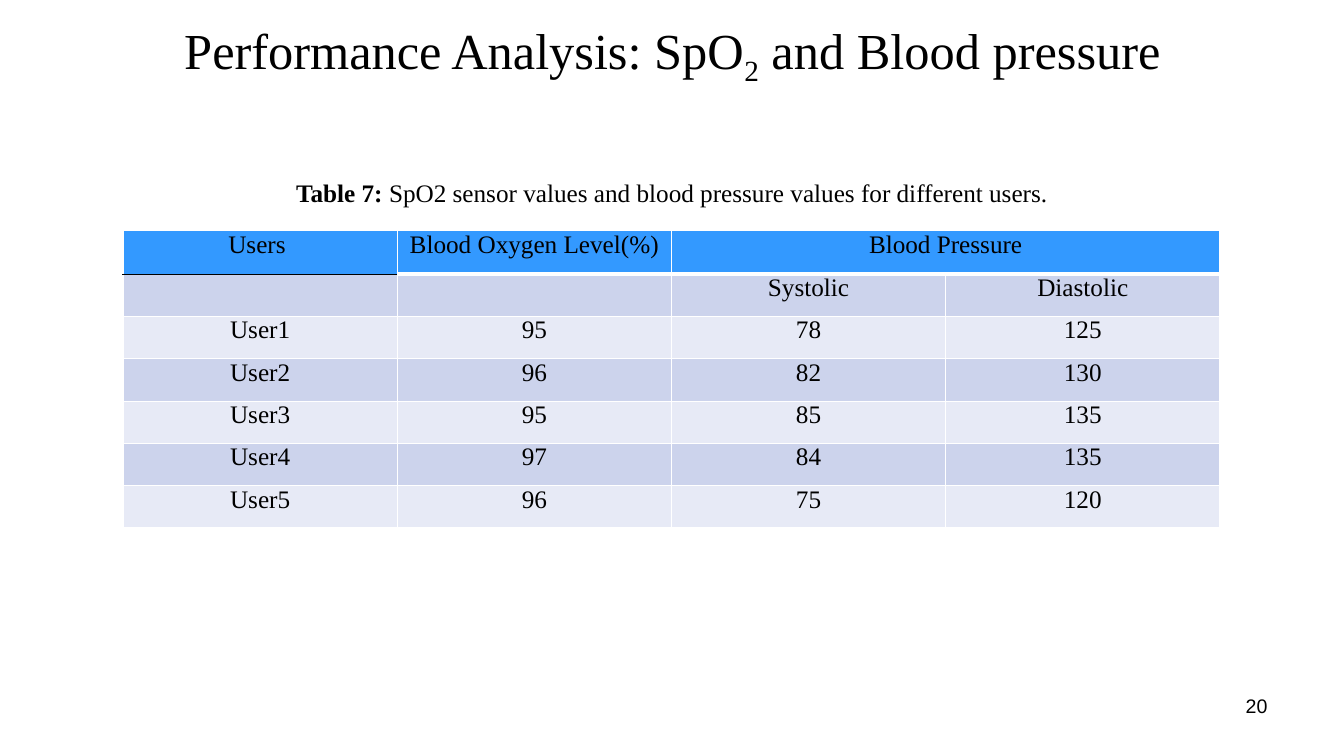
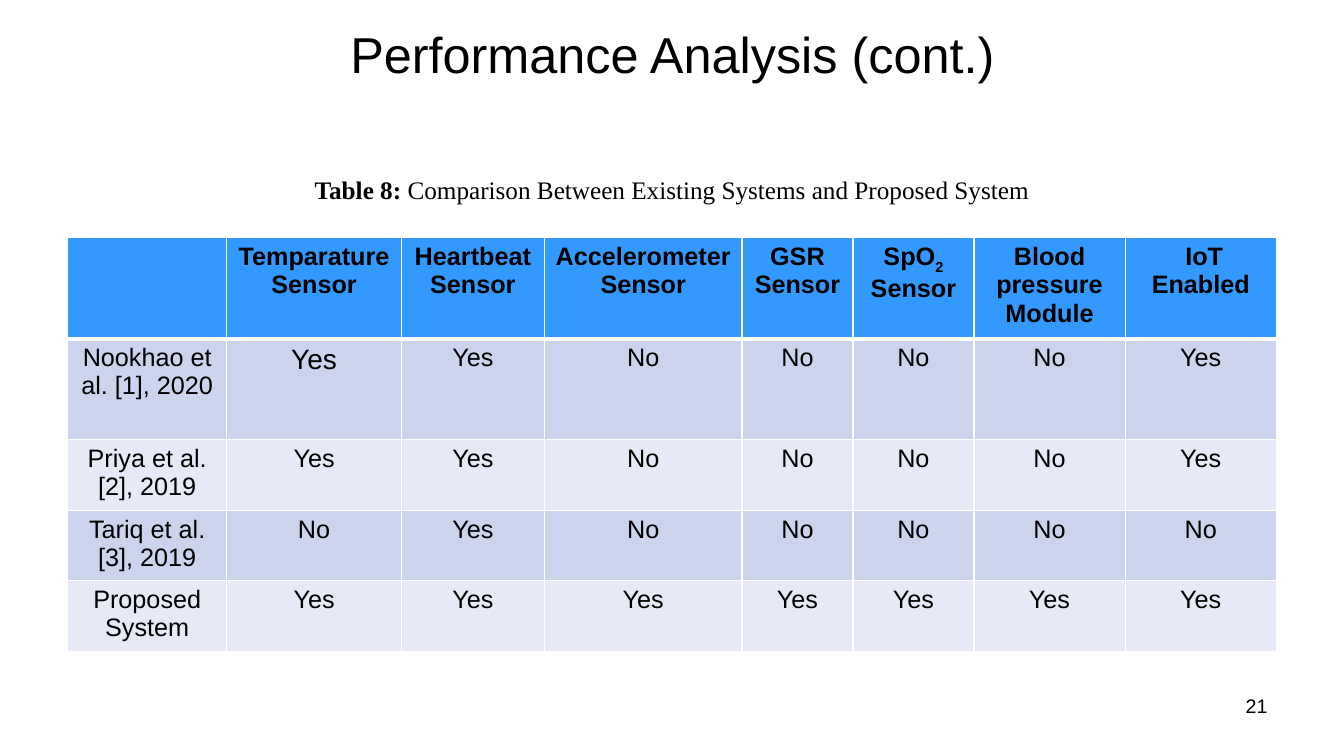
from lxml import etree
from pptx import Presentation
from pptx.dml.color import RGBColor
from pptx.enum.text import MSO_ANCHOR, PP_ALIGN
from pptx.oxml.ns import qn
from pptx.util import Inches, Pt

CENTER, RIGHT = PP_ALIGN.CENTER, PP_ALIGN.RIGHT
TOP, MIDDLE = MSO_ANCHOR.TOP, MSO_ANCHOR.MIDDLE

BLACK = RGBColor(0x00, 0x00, 0x00)
WHITE = RGBColor(0xFF, 0xFF, 0xFF)
HEADER_BLUE = RGBColor(0x33, 0x99, 0xFF)
BANDS = [RGBColor(0xCC, 0xD3, 0xEC), RGBColor(0xE7, 0xEA, 0xF6)]

SERIF, SANS = "Times New Roman", "Arial"
BODY_SIZE = 18
SUBSCRIPT = "-25000"

SLIDES = [
    {
        "title": [("Performance Analysis: SpO", ""), ("2", "sub"), (" and Blood pressure", "")],
        "font": SERIF,
        "number": "20",
        "caption": [("Table 7: ", "bold"),
                    ("SpO2 sensor values and blood pressure values for different users.", "")],
        "caption_box": (1.22, 1.71, 10.89, 0.4),
        "table_at": (1.22, 2.29),
        "columns": [2.72] * 4,
        "rows": [0.43] + [0.42] * 6,
        "margins": (0.07, 0),
        "header_style": "",
        "merge": [((0, 2), (0, 3))],
        "black_under": (0, 0),
        "sizes": {},
        "cells": [
            ["Users ", "Blood Oxygen Level(%)", "Blood Pressure", ""],
            ["", "", "Systolic", "Diastolic"],
            ["User1", "95", "78", "125"],
            ["User2", "96", "82", "130"],
            ["User3", "95", "85", "135"],
            ["User4", "97", "84", "135"],
            ["User5", "96", "75", "120"],
        ],
    },
    {
        "title": [("Performance Analysis (cont.)", "")],
        "font": SANS,
        "number": "21",
        "caption": [("Table 8:", "bold"),
                    (" Comparison Between Existing Systems and Proposed System", "")],
        "caption_box": (0.7, 1.68, 11.93, 0.4),
        "table_at": (0.67, 2.36),
        "columns": [1.58, 1.73, 1.42, 1.96, 1.1, 1.2, 1.5, 1.5],
        "rows": [0.93, 1, 0.66, 0.66, 0.66],
        "margins": (0.1, 0.05),
        "header_style": "bold",
        "merge": [],
        "black_under": None,
        "sizes": {(1, 1): 20},
        "cells": [
            ["", "Temparature Sensor", "Heartbeat Sensor", "Accelerometer Sensor", "GSR Sensor",
             [("SpO", "bold"), ("2 ", "bold sub"), ("Sensor", "bold")],
             "Blood pressure Module", " IoT Enabled"],
            ["Nookhao et al. [1], 2020", "Yes", "Yes", "No", "No", "No", "No", "Yes"],
            ["Priya et al. [2], 2019", "Yes", "Yes", "No", "No", "No", "No", "Yes"],
            ["Tariq et al.[3], 2019", "No", "Yes", "No", "No", "No", "No", "No"],
            ["Proposed System"] + ["Yes"] * 7,
        ],
    },
]


def write(text_frame, parts, size, font_name, alignment=CENTER, anchor=TOP):
    """Fill the first paragraph with (text, style) runs; style words are bold and sub."""
    text_frame.word_wrap = True
    text_frame.vertical_anchor = anchor
    paragraph = text_frame.paragraphs[0]
    paragraph.alignment = alignment
    for text, style in parts:
        run = paragraph.add_run()
        run.text = text
        run.font.size = Pt(size)
        run.font.name = font_name
        run.font.bold = "bold" in style
        run.font.color.rgb = BLACK
        if "sub" in style:
            run.font._element.set("baseline", SUBSCRIPT)


def set_border(cell, side, width, color):
    line = etree.SubElement(cell._tc.get_or_add_tcPr(), qn(f"a:ln{side}"), w=str(Pt(width)))
    fill = etree.SubElement(line, qn("a:solidFill"))
    etree.SubElement(fill, qn("a:srgbClr"), val=str(color))


presentation = Presentation()
presentation.slide_width = Inches(13.33)
presentation.slide_height = Inches(7.5)
blank_layout = presentation.slide_layouts[6]

for content in SLIDES:
    slide = presentation.slides.add_slide(blank_layout)
    text_boxes = [
        ((0.67, 0.21, 12, 0.64), content["title"], 36, content["font"], CENTER, MIDDLE),
        (content["caption_box"], content["caption"], BODY_SIZE, SERIF, CENTER, TOP),
        ((9.56, 6.83, 3.11, 0.52), [(content["number"], "")], 14, SANS, RIGHT, TOP),
    ]
    for box, parts, size, font_name, alignment, anchor in text_boxes:
        text_box = slide.shapes.add_textbox(*(Inches(value) for value in box))
        write(text_box.text_frame, parts, size, font_name, alignment, anchor)

    columns, rows = content["columns"], content["rows"]
    left, top = content["table_at"]
    table = slide.shapes.add_table(
        len(rows), len(columns), Inches(left), Inches(top),
        Inches(sum(columns)), Inches(sum(rows))).table
    table.first_row = False
    table.horz_banding = False
    for column, width in zip(table.columns, columns):
        column.width = Inches(width)
    for row, height in zip(table.rows, rows):
        row.height = Inches(height)

    margin_x, margin_y = (Inches(value) for value in content["margins"])
    for row_index, row_cells in enumerate(content["cells"]):
        for column_index, value in enumerate(row_cells):
            cell = table.cell(row_index, column_index)
            cell.margin_left = cell.margin_right = margin_x
            cell.margin_top = cell.margin_bottom = margin_y

            # Borders follow the schema order; the header's lower edge is heavier.
            for side, edge in (("L", None), ("R", None), ("T", row_index - 1), ("B", row_index)):
                if edge is not None and (edge, column_index) == content["black_under"]:
                    set_border(cell, side, 1, BLACK)
                else:
                    set_border(cell, side, 3 if edge == 0 else 1, WHITE)

            cell.fill.solid()
            cell.fill.fore_color.rgb = BANDS[(row_index - 1) % 2] if row_index else HEADER_BLUE
            if value:
                style = "" if row_index else content["header_style"]
                parts = [(value, style)] if isinstance(value, str) else value
                size = content["sizes"].get((row_index, column_index), BODY_SIZE)
                write(cell.text_frame, parts, size, content["font"])

    for first, last in content["merge"]:
        table.cell(*first).merge(table.cell(*last))

presentation.save("out.pptx")
